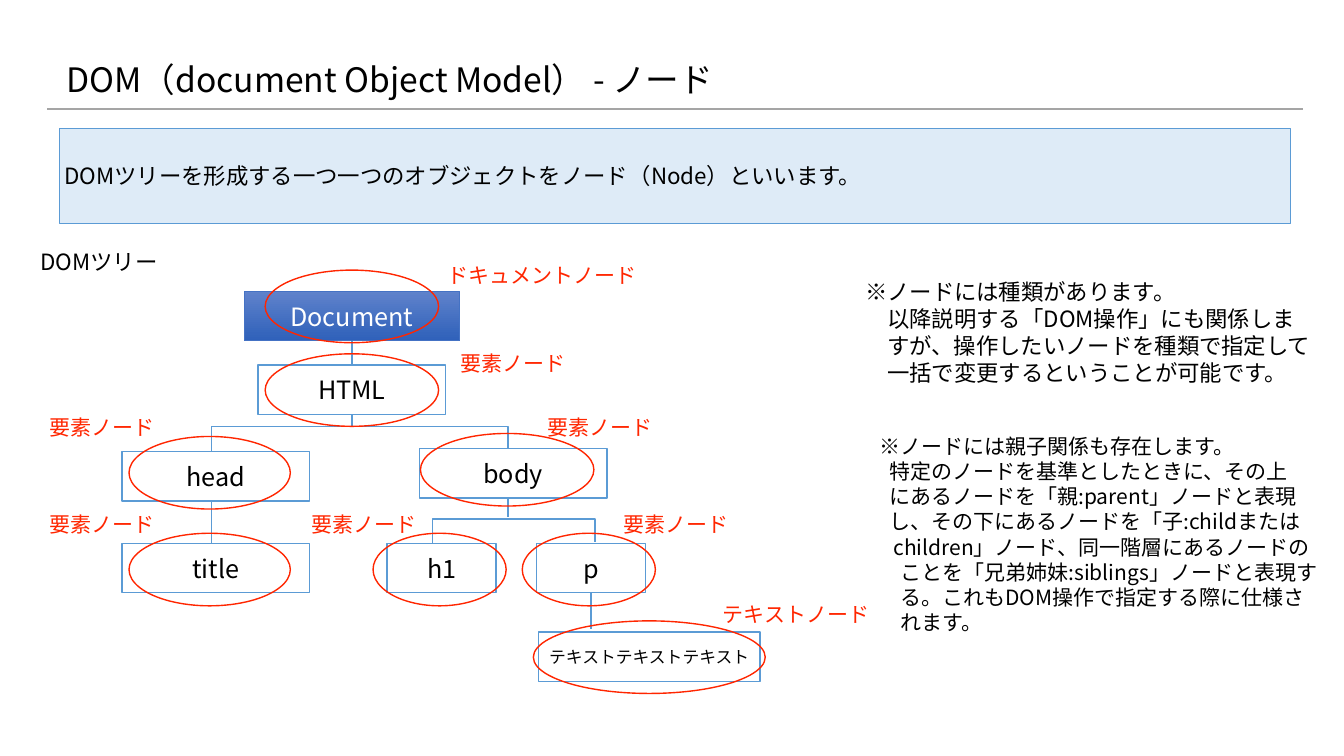
from lxml.etree import SubElement
from pptx import Presentation
from pptx.dml.color import RGBColor
from pptx.enum.shapes import MSO_CONNECTOR, MSO_SHAPE
from pptx.enum.text import MSO_ANCHOR, MSO_AUTO_SIZE, PP_ALIGN
from pptx.oxml.ns import qn
from pptx.util import Inches, Pt

FONT = "Noto Sans CJK JP"
BLACK, WHITE, RED, BLUE, GREY = "000000", "FFFFFF", "FF2600", "5B9BD5", "A5A5A5"
TITLE = "DOM（document Object Model） - ノード"
SUMMARY = "DOMツリーを形成する一つ一つのオブジェクトをノード（Node）といいます。"
HEADING = "DOMツリー"

ROWS = {"document": 2.89, "html": 3.62, "head": 4.48, "body": 4.45, "leaf": 5.39, "text": 6.27}
BOX_HEIGHT, RING_HEIGHT = 0.49, 0.72
# node: text, row, box left and width, ring left, width and rise above the box, size
NODES = [
    ("Document", "document", 2.42, 2.14, 2.63, 1.72, 0.21, 18),
    ("HTML", "html", 2.56, 1.86, 2.63, 1.72, 0.11, 18),
    ("head", "head", 1.21, 1.86, 1.28, 1.6, 0.15, 18),
    ("body", "body", 4.16, 1.86, 4.17, 1.72, 0.15, 18),
    ("title", "leaf", 1.21, 1.86, 1.28, 1.6, 0.1, 18),
    ("h1", "leaf", 3.84, 1.08, 3.7, 1.32, 0.1, 18),
    ("p", "leaf", 5.32, 1.08, 5.18, 1.32, 0.1, 18),
    ("テキストテキストテキスト", "text", 5.34, 2.2, 5.29, 2.3, 0.11, 12),
]
KINDS = {
    "ドキュメントノード": (1.98, [(4.39, 2.56)]),
    "要素ノード": (1.16, [(4.52, 3.43), (0.44, 4.06), (5.38, 4.06),
                       (0.44, 5.03), (3.04, 5.03), (6.13, 5.03)]),
    "テキストノード": (1.62, [(7.12, 5.92)]),
}
UPPER_BUS, LOWER_BUS, STUB_END = 4.23, 5.15, 6.24
BRANCHES = [
    [(2.1, 5.4), (2.1, UPPER_BUS), (5.04, UPPER_BUS), (5.04, 5.13)],
    [(4.29, 5.4), (4.29, LOWER_BUS), (5.9, LOWER_BUS), (5.9, 5.38)],
]
NOTES = [
    ((8.53, 2.71, 4.62, 1.32), 16, [
        (0, "※ノードには種類があります。"),
        (0.22, "以降説明する「DOM操作」にも関係しま"),
        (0.22, "すが、操作したいノードを種類で指定して"),
        (0.22, "一括で変更するということが可能です。"),
    ]),
    ((8.67, 4.25, 4.55, 2.2), 15, [
        (0, "※ノードには親子関係も存在します。"),
        (0.1, "特定のノードを基準としたときに、その上"),
        (0.1, "にあるノードを「親:parent」ノードと表現"),
        (0.1, "し、その下にあるノードを「子:childまたは"),
        (0.14, "children」ノード、同一階層にあるノードの"),
        (0.21, "ことを「兄弟姉妹:siblings」ノードと表現す"),
        (0.21, "る。これもDOM操作で指定する際に仕様さ"),
        (0.21, "れます。"),
    ]),
]

prs = Presentation()
prs.slide_width, prs.slide_height = Inches(13.33), Inches(7.5)
slide = prs.slides.add_slide(prs.slide_layouts[5])
shapes = slide.shapes


def color(hex_value):
    return RGBColor.from_string(hex_value)


def write(shape, lines, size, ink=BLACK, align=PP_ALIGN.LEFT, anchor=MSO_ANCHOR.MIDDLE,
          wrap=True, fit=MSO_AUTO_SIZE.NONE):
    frame = shape.text_frame
    margins = dict.fromkeys(("margin_left", "margin_top", "margin_right", "margin_bottom"), Inches(0.05))
    formats = {**margins, "word_wrap": wrap, "auto_size": fit, "vertical_anchor": anchor}
    for name, value in formats.items():
        setattr(frame, name, value)
    for number, (indent, text) in enumerate(lines):
        paragraph = frame.add_paragraph() if number else frame.paragraphs[0]
        paragraph.alignment = align
        if indent:
            paragraph._p.get_or_add_pPr().set("marL", str(Inches(indent)))
        run = paragraph.add_run()
        run.text = text
        for name, value in {"size": Pt(size), "name": FONT}.items():
            setattr(run.font, name, value)
        run.font.color.rgb = color(ink)
        SubElement(run._r.get_or_add_rPr(), qn("a:ea")).set("typeface", FONT)


def outline(shape, fill, line, width):
    shape.shadow.inherit = False
    if fill:
        shape.fill.solid()
        shape.fill.fore_color.rgb = color(fill)
    else:
        shape.fill.background()
    shape.line.color.rgb = color(line)
    shape.line.width = Pt(width)
    return shape


def draw(preset, box, fill, line, width=1):
    return outline(shapes.add_shape(preset, *map(Inches, box)), fill, line, width)


def label(box, lines, size, ink=BLACK):
    write(shapes.add_textbox(*map(Inches, box)), lines, size, ink, anchor=MSO_ANCHOR.TOP,
          wrap=False, fit=MSO_AUTO_SIZE.SHAPE_TO_FIT_TEXT)


def connect(start, end, line=BLUE, width=1):
    link = shapes.add_connector(MSO_CONNECTOR.STRAIGHT, *map(Inches, (*start, *end)))
    link.line.color.rgb = color(line)
    link.line.width = Pt(width)
    SubElement(link._element.spPr, qn("a:effectLst"))
    return link


title = shapes.title
for name, value in zip(("left", "top", "width", "height"), (0.61, 0.31, 10.7, 1)):
    setattr(title, name, Inches(value))
write(title, [(0, TITLE)], 24)
title.text_frame.paragraphs[0].line_spacing = 0.9
connect((0.47, 1.08), (12.92, 1.08), GREY, 1.5)

summary = draw(MSO_SHAPE.RECTANGLE, (0.59, 1.27, 12.21, 0.95), "DEEBF7", BLUE, 0.75)
write(summary, [(0, SUMMARY)], 16)
label((0.35, 2.41, 1.34, 0.32), [(0, HEADING)], 16)

for start, *rest in BRANCHES:
    builder = shapes.build_freeform(*map(Inches, start))
    builder.add_line_segments([tuple(map(Inches, point)) for point in rest], close=False)
    outline(builder.convert_to_shape(), None, BLUE, 1)

boxes = {}
for text, row, left, width, *_, size in NODES:
    box = draw(MSO_SHAPE.RECTANGLE, (left, ROWS[row], width, BOX_HEIGHT), WHITE, BLUE)
    write(box, [(0, text)], size, WHITE if row == "document" else BLACK, PP_ALIGN.CENTER)
    boxes[text] = box

root = boxes["Document"]
root.fill.gradient()
root.fill.gradient_angle = 270
for stop, shade in zip(root.fill.gradient_stops, ("5F82CB", "2F61BA")):
    stop.color.rgb = color(shade)
root.line.color.rgb = color("4472C4")
root.line.width = Pt(0.5)

trunk = connect((3.49, 3.38), (3.49, 3.62))
trunk.begin_connect(root, 2)
trunk.end_connect(boxes["HTML"], 0)
for parent, center, end in (("HTML", 3.49, UPPER_BUS), ("p", 5.86, STUB_END)):
    connect((center, end - 0.1), (center, end)).begin_connect(boxes[parent], 2)

for _, row, _, _, left, width, rise, _ in NODES:
    draw(MSO_SHAPE.OVAL, (left, ROWS[row] - rise, width, RING_HEIGHT), None, RED)

for kind, (width, places) in KINDS.items():
    for left, top in places:
        label((left, top, width, 0.32), [(0, kind)], 15, RED)

for box, size, lines in NOTES:
    label(box, lines, size)

prs.save("out.pptx")
